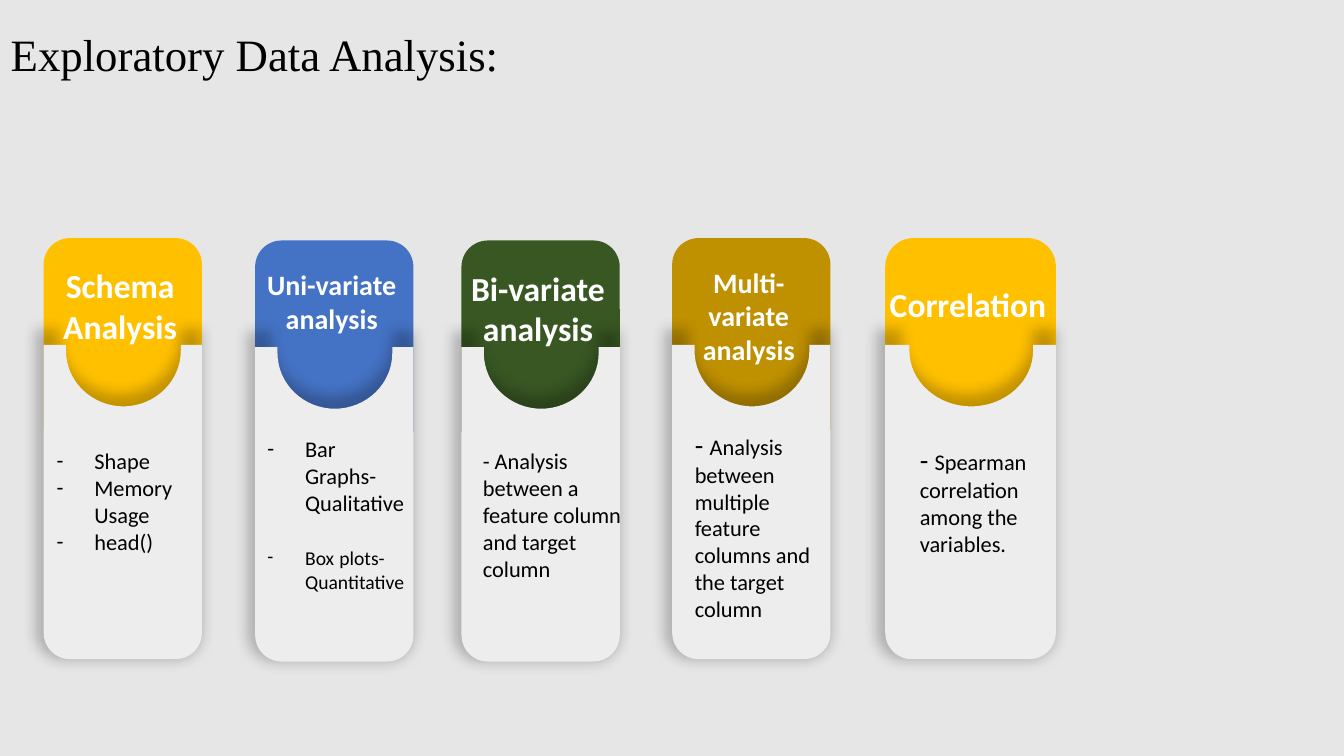
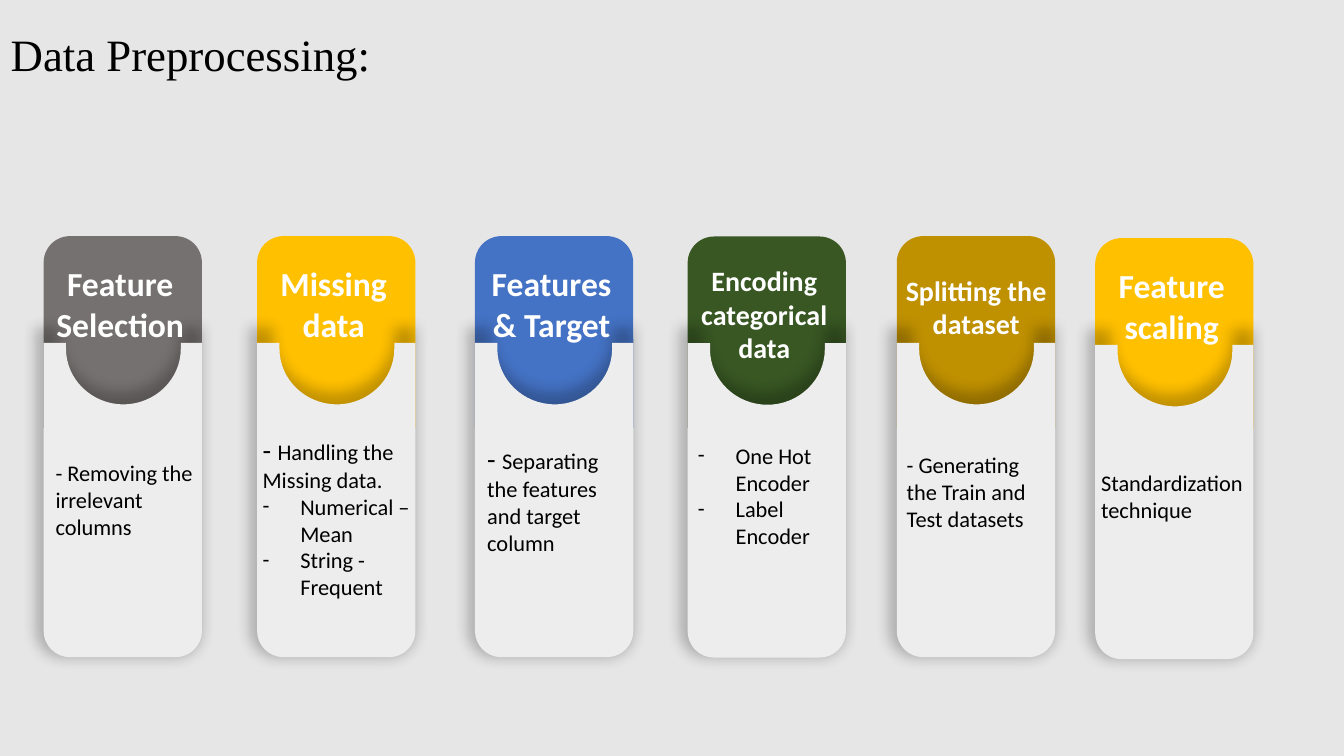
import itertools
from dataclasses import dataclass

import pptx
import pptx.dml.color
import pptx.enum.shapes
import pptx.enum.text
import pptx.oxml
import pptx.oxml.ns
import pptx.presentation
import pptx.shapes.base
import pptx.shapes.shapetree
import pptx.text.text
import pptx.util

Cm = pptx.util.Cm
Pt = pptx.util.Pt
Point = tuple[float, float]
Segment = tuple[Point, ...]

COLORS = {
    "background": "E7E6E6",
    "panel": "EDEDED",
    "black": "000000",
    "white": "FFFFFF",
    "amber": "FFC000",
    "blue": "4472C4",
    "green": "385723",
    "ochre": "BF9000",
    "gray": "767171",
}
BODY_FONT = "Calibri"
TITLE_FONT = "Times New Roman"
SLIDE_WIDTH = 33.87
SLIDE_HEIGHT = 19.05
CARD_WIDTH = 3.99
HEADER_HEIGHT = 4.83
PANEL_OFFSET = 2.69
PANEL_HEIGHT = 7.92
CORNER = 0.66
BULLET_INDENT = 0.95
CURVE = 0.55


@dataclass(frozen=True)
class Line:
    runs: tuple[tuple[str, int], ...]
    bullet: bool = False
    space_before: float = 0


@dataclass(frozen=True)
class Card:
    left: float
    top: float
    color: str
    heading: str
    lines: tuple[Line, ...]
    text_offset: float
    text_top: float
    text_width: float
    heading_size: int = 24
    heading_offset: float = 0.56
    heading_shift: float = -0.15
    width: float = CARD_WIDTH


def plain(text: str) -> Line:
    return Line(((text, 16),))


def dashed(text: str) -> Line:
    return Line((("- ", 20), (text, 16)))


def bullet(text: str) -> Line:
    return Line(((text, 16),), bullet=True)


EXPLORATION_CARDS = (
    Card(1.1, 6.0, "amber", "Schema Analysis",
         (bullet("Shape"), bullet("Memory Usage"), bullet("head()")),
         0.08, 11.15, 4.7),
    Card(6.43, 6.06, "blue", "Uni-variate analysis",
         (bullet("Bar Graphs- Qualitative"),
          Line((("Box", 14), (" ", 16), ("plots-Quantitative", 14)), True, 19.5)),
         0.06, 10.85, 4.11, heading_size=20),
    Card(16.94, 6.0, "ochre", "Multi-variate analysis",
         (dashed("Analysis between multiple feature columns and the target column"),),
         0.32, 10.64, 4.0, heading_size=20),
    Card(11.63, 6.06, "green", "Bi-variate\nanalysis",
         (plain("- Analysis between a feature column and target column"),),
         0.29, 11.15, 4.0),
    Card(22.31, 6.0, "amber", "Correlation",
         (dashed("Spearman correlation among the variables."),),
         0.62, 11.03, 4.47, heading_offset=1.04, width=4.3),
)
PREPROCESSING_CARDS = (
    Card(6.48, 5.95, "amber", "Missing data",
         (dashed("Handling the Missing data."), bullet("Numerical – Mean"),
          bullet("String - Frequent")),
         -0.11, 10.77, 4.7),
    Card(11.97, 5.95, "blue", "Features & Target",
         (dashed("Separating the features and target column"),), 0.06, 11.0, 4.11),
    Card(22.6, 5.95, "ochre", "Splitting the dataset",
         (plain("- Generating the Train and Test datasets"),),
         0, 11.25, 4.0, heading_size=20, heading_offset=0.81, heading_shift=-0.08),
    Card(17.33, 5.96, "green", "Encoding categorical data",
         (bullet("One Hot Encoder"), bullet("Label Encoder")),
         0.01, 11.01, 4.0, heading_size=20),
    Card(27.6, 6.0, "amber", "Feature scaling",
         (plain("Standardization technique"),), -0.1, 11.7, 4.14),
    Card(1.1, 5.95, "gray", "Feature Selection",
         (plain("- Removing the irrelevant columns"),), 0.05, 11.44, 4.7),
)
SLIDES = (
    ("Exploratory Data Analysis:", EXPLORATION_CARDS),
    ("Data Preprocessing:", PREPROCESSING_CARDS),
)


def rgb(color: str) -> pptx.dml.color.RGBColor:
    return pptx.dml.color.RGBColor.from_string(COLORS[color])


def format_run(run: pptx.text.text._Run, size: int, color: str,
               font: str = BODY_FONT, bold: bool = False) -> None:
    run.font.name = font
    run.font.size = Pt(size)
    run.font.bold = bold
    run.font.color.rgb = rgb(color)


def add_text_frame(shapes: pptx.shapes.shapetree._BaseGroupShapes, left: float, top: float,
                   width: float, height: float) -> pptx.text.text.TextFrame:
    text_box = shapes.add_textbox(Cm(left), Cm(top), Cm(width), Cm(height))
    text_box.text_frame.word_wrap = True
    return text_box.text_frame


def paint(shape: pptx.shapes.base.BaseShape, color: str) -> None:
    shape.shadow.inherit = False
    shape.fill.solid()
    shape.fill.fore_color.rgb = rgb(color)
    shape.line.fill.background()


def add_panel_shadow(shape: pptx.shapes.base.BaseShape) -> None:
    effects = shape._element.spPr.find(pptx.oxml.ns.qn("a:effectLst"))
    effects.append(pptx.oxml.parse_xml(
        f'<a:outerShdw {pptx.oxml.ns.nsdecls("a")} blurRad="{Pt(10)}" '
        f'sx="105000" sy="105000" algn="br" rotWithShape="0">'
        f'<a:srgbClr val="{COLORS["black"]}"><a:alpha val="23000"/></a:srgbClr></a:outerShdw>'))


def add_bullet(paragraph: pptx.text.text._Paragraph) -> None:
    properties = paragraph._p.get_or_add_pPr()
    properties.set("marL", str(Cm(BULLET_INDENT)))
    properties.set("indent", str(-Cm(BULLET_INDENT)))
    for tag, attribute, value in (("buFont", "typeface", BODY_FONT), ("buChar", "char", "-")):
        properties.append(pptx.oxml.parse_xml(
            f'<a:{tag} {pptx.oxml.ns.nsdecls("a")} {attribute}="{value}"/>'))


def quarter(start: Point, corner: Point, end: Point) -> Segment:
    first, second = (
        tuple(a + (b - a) * CURVE for a, b in zip(point, corner)) for point in (start, end))
    return first, second, end


def panel_segments(width: float) -> list[Segment]:
    middle = width * 0.504
    notch = width * 0.3625
    left, right = middle - notch, middle + notch
    shoulder, depth = 0.15, 1.55
    bottom, corner_y = PANEL_HEIGHT, PANEL_HEIGHT - CORNER
    return [
        ((left, 0),),
        ((left, shoulder),),
        quarter((left, shoulder), (left, depth), (middle, depth)),
        quarter((middle, depth), (right, depth), (right, shoulder)),
        ((right, 0),),
        ((width, 0),),
        ((width, corner_y),),
        quarter((width, corner_y), (width, bottom), (width - CORNER, bottom)),
        ((CORNER, bottom),),
        quarter((CORNER, bottom), (0, bottom), (0, corner_y)),
    ]


def bend_segments(shape: pptx.shapes.base.BaseShape, segments: list[Segment]) -> None:
    steps = iter(list(shape._element.iter(pptx.oxml.ns.qn("a:lnTo"))))
    for segment in segments:
        group = list(itertools.islice(steps, len(segment)))
        if len(group) == 3:
            curve = pptx.oxml.parse_xml(f'<a:cubicBezTo {pptx.oxml.ns.nsdecls("a")}/>')
            group[0].addprevious(curve)
            for step in group:
                curve.append(step[0])
                step.getparent().remove(step)


def add_panel(shapes: pptx.shapes.shapetree._BaseGroupShapes, card: Card) -> None:
    left, top = card.left, card.top + PANEL_OFFSET
    segments = panel_segments(card.width)
    builder = shapes.build_freeform(Cm(left), Cm(top))
    builder.add_line_segments(
        [(Cm(left + x), Cm(top + y)) for x, y in itertools.chain.from_iterable(segments)],
        close=True)
    panel = builder.convert_to_shape()
    bend_segments(panel, segments)
    paint(panel, "panel")
    add_panel_shadow(panel)


def add_card(shapes: pptx.shapes.shapetree._BaseGroupShapes, card: Card) -> None:
    header = shapes.add_shape(
        pptx.enum.shapes.MSO_SHAPE.ROUND_2_SAME_RECTANGLE,
        Cm(card.left), Cm(card.top), Cm(card.width), Cm(HEADER_HEIGHT))
    paint(header, card.color)
    add_panel(shapes, card)

    heading = add_text_frame(shapes, card.left + card.heading_shift,
                             card.top + card.heading_offset, card.width + 0.17, 2.3)
    heading.text = card.heading
    for paragraph in heading.paragraphs:
        paragraph.alignment = pptx.enum.text.PP_ALIGN.CENTER
        format_run(paragraph.runs[0], card.heading_size, "white", bold=True)

    body = add_text_frame(shapes, card.left + card.text_offset, card.text_top,
                          card.text_width, 4.0)
    for index, line in enumerate(card.lines):
        paragraph = body.add_paragraph() if index else body.paragraphs[0]
        if line.space_before:
            paragraph.space_before = Pt(line.space_before)
        if line.bullet:
            add_bullet(paragraph)
        for text, size in line.runs:
            run = paragraph.add_run()
            run.text = text
            format_run(run, size, "black")


def add_slide(presentation: pptx.presentation.Presentation, title: str,
              cards: tuple[Card, ...]) -> None:
    slide = presentation.slides.add_slide(presentation.slide_layouts[6])
    backdrop = slide.shapes.add_shape(
        pptx.enum.shapes.MSO_SHAPE.RECTANGLE, 0, 0, Cm(SLIDE_WIDTH), Cm(SLIDE_HEIGHT))
    paint(backdrop, "background")
    title_frame = add_text_frame(slide.shapes, 0.02, 0.56, 32.1, 5.74)
    title_frame.text = title
    format_run(title_frame.paragraphs[0].runs[0], 32, "black", TITLE_FONT)
    for card in cards:
        add_card(slide.shapes.add_group_shape().shapes, card)


def main() -> None:
    presentation = pptx.Presentation()
    presentation.slide_width = Cm(SLIDE_WIDTH)
    presentation.slide_height = Cm(SLIDE_HEIGHT)
    for title, cards in SLIDES:
        add_slide(presentation, title, cards)
    presentation.save("out.pptx")


if __name__ == "__main__":
    main()
